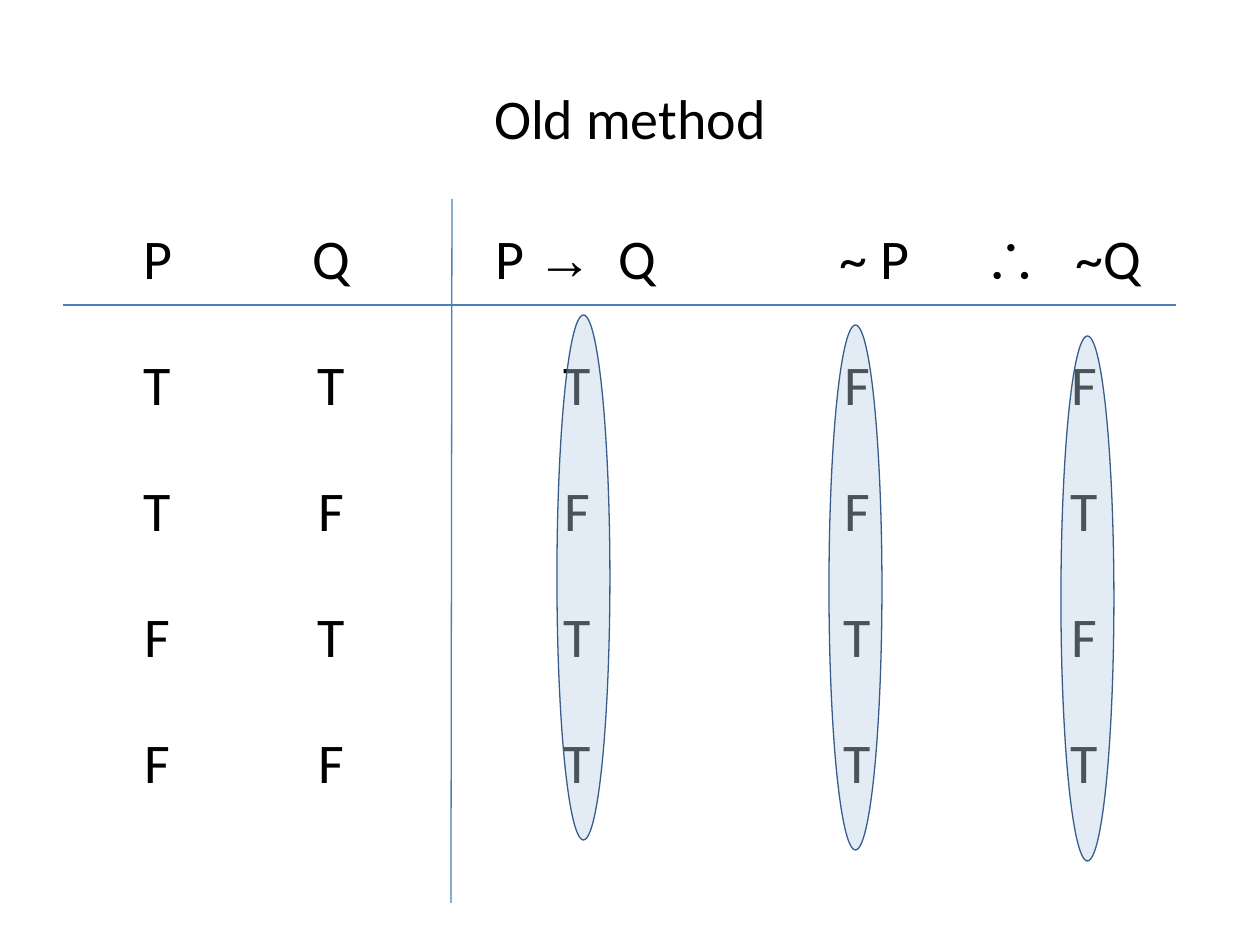
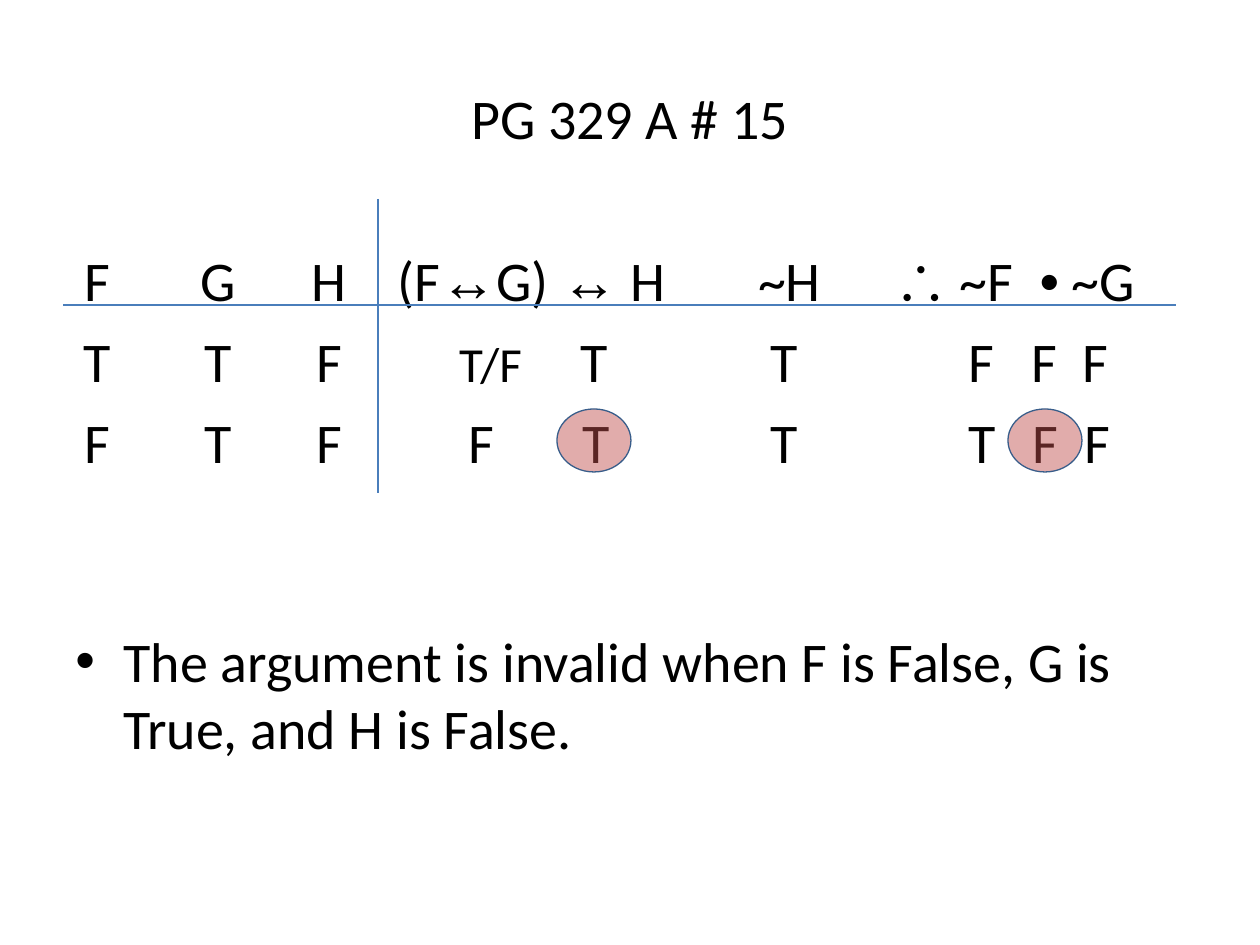
"""Build two truth-table slides with ruled grids and circled results."""
from itertools import groupby

from lxml import etree
from pptx import Presentation
from pptx.dml.color import RGBColor
from pptx.enum.shapes import MSO_CONNECTOR, MSO_SHAPE
from pptx.enum.text import MSO_ANCHOR, PP_ALIGN
from pptx.oxml.ns import qn
from pptx.util import Emu, Pt

LINE, OVAL = MSO_CONNECTOR.STRAIGHT, MSO_SHAPE.OVAL
LEFT, MID = PP_ALIGN.LEFT, PP_ALIGN.CENTER
TOP, HALF = MSO_ANCHOR.TOP, MSO_ANCHOR.MIDDLE

BLACK = RGBColor(0x00, 0x00, 0x00)
RULE = RGBColor(0x4A, 0x7E, 0xBB)
EDGE = RGBColor(0x38, 0x5D, 0x8A)
PALE = RGBColor(0xB9, 0xCD, 0xE5)
RED = RGBColor(0xC0, 0x50, 0x4D)

FONT, SYMBOL, SIGNS = "Calibri", "Arial", "→↔∴•"
SIZE, PAD = 32, 13
TITLE = (63, 38, 1134, 158)
NOTE = (63, 620, 1134, 224)
ACROSS = (63, 305, 1176, 305)

# A cell is a plain string, or a list of (text, centre x, size) pieces.
SLIDES = [
    {
        "title": "Old method",
        "at": (63, 220),
        "cols": [189, 158, 334, 227, 227],
        "row": 126,
        "cells": [
            ["P", "Q", [("P", 510, 32), ("→", 565, 32), ("Q", 638, 32)],
             [("~ P", 875, 32)], [("∴", 1010, 32), ("~Q", 1109, 32)]],
            ["T", "T", "T", "F", "F"],
            ["T", "F", "F", "F", "T"],
            ["F", "T", "T", "T", "F"],
            ["F", "F", "T", "T", "T"],
        ],
        "down": (452, 199, 451, 903),
        "ovals": [(557, 315), (829, 325), (1061, 336)],
        "oval": (53, 525, PALE, 40),
    },
    {
        "title": "PG 329 A # 15",
        "note": "The argument is invalid when F is False, G is True, "
                "and H is False.",
        "at": (32, 242),
        "cols": [131, 111, 111, 302, 194, 348],
        "row": 81,
        "cells": [
            ["F", "G", "H", "(F↔G) ↔ H", [("~H", 790, 32)],
             [("∴", 921, 32), ("~F", 987, 32), ("•", 1050, 32),
              ("~G", 1104, 32)]],
            ["T", "T", "F", [("T/F", 491, 28), ("T", 595, 32)], "T",
             [("F", 982, 32), ("F", 1045, 32), ("F", 1096, 32)]],
            ["F", "T", "F", [("F", 482, 32), ("T", 597, 32)], "T",
             [("T", 983, 32), ("F", 1046, 32), ("F", 1098, 32)]],
        ],
        "down": (378, 199, 378, 493),
        "ovals": [(557, 409), (1008, 409)],
        "oval": (74, 63, RED, 47),
    },
]


def px(n):
    return Emu(round(n * 914400 / 126))


def tag(parent, name, **attrs):
    return etree.SubElement(parent, qn(name), attrs)


def put(frame, text, align=MID, anchor=TOP, left=0, bullet=False):
    frame.word_wrap = True
    frame.vertical_anchor = anchor
    para = frame.paragraphs[0]
    para.alignment = align
    props = para._p.get_or_add_pPr()
    if bullet:
        props.set("marL", str(px(48)))
        props.set("indent", str(-px(48)))
        tag(props, "a:buFont", typeface=SYMBOL)
        tag(props, "a:buChar", char="•")
    pieces = [(text, SIZE)]
    if isinstance(text, list):
        stops = tag(props, "a:tabLst")
        for _, x, _ in text:
            tag(stops, "a:tab", pos=str(px(x - left - PAD)), algn="ctr")
        pieces = [("\t" + word, size) for word, _, size in text]
    for word, size in pieces:
        for sign, chars in groupby(word, lambda c: c in SIGNS):
            run = para.add_run()
            run.text = "".join(chars)
            run.font.name = SYMBOL if sign else FONT
            run.font.size = Pt(size)
            run.font.color.rgb = BLACK


def box(slide, place, text, **form):
    put(slide.shapes.add_textbox(*map(px, place)).text_frame, text, **form)


def grid(slide, data):
    cols, row, cells = data["cols"], data["row"], data["cells"]
    x, y = data["at"]
    size = (sum(cols), row * len(cells))
    table = slide.shapes.add_table(
        len(cells), len(cols), *map(px, (x, y, *size))).table
    table.first_row = table.horz_banding = False
    for i, line in enumerate(cells):
        table.rows[i].height = px(row)
        for j, text in enumerate(line):
            table.columns[j].width = px(cols[j])
            cell = table.cell(i, j)
            cell.fill.background()
            align = LEFT if isinstance(text, list) or len(text) > 1 else MID
            put(cell.text_frame, text, align=align, left=x + sum(cols[:j]))


def rule(slide, ends):
    line = slide.shapes.add_connector(LINE, *map(px, ends))
    line.line.color.rgb = RULE
    line.line.width = Pt(0.75)
    tag(line._element.spPr, "a:effectLst")


def ring(slide, spot, wide, high, color, alpha):
    oval = slide.shapes.add_shape(OVAL, *map(px, (*spot, wide, high)))
    oval.shadow.inherit = False
    oval.fill.solid()
    oval.fill.fore_color.rgb = color
    shade = oval._element.spPr.find(".//" + qn("a:srgbClr"))
    tag(shade, "a:alpha", val=str(alpha * 1000))
    oval.line.color.rgb = EDGE
    oval.line.width = Pt(0)


def main():
    deck = Presentation()
    deck.slide_width, deck.slide_height = px(1260), px(945)
    for data in SLIDES:
        slide = deck.slides.add_slide(deck.slide_layouts[6])
        box(slide, TITLE, data["title"], anchor=HALF)
        if "note" in data:
            box(slide, NOTE, data["note"], align=LEFT, bullet=True)
        grid(slide, data)
        for ends in (data["down"], ACROSS):
            rule(slide, ends)
        for spot in data["ovals"]:
            ring(slide, spot, *data["oval"])
    deck.save("out.pptx")


if __name__ == "__main__":
    main()
